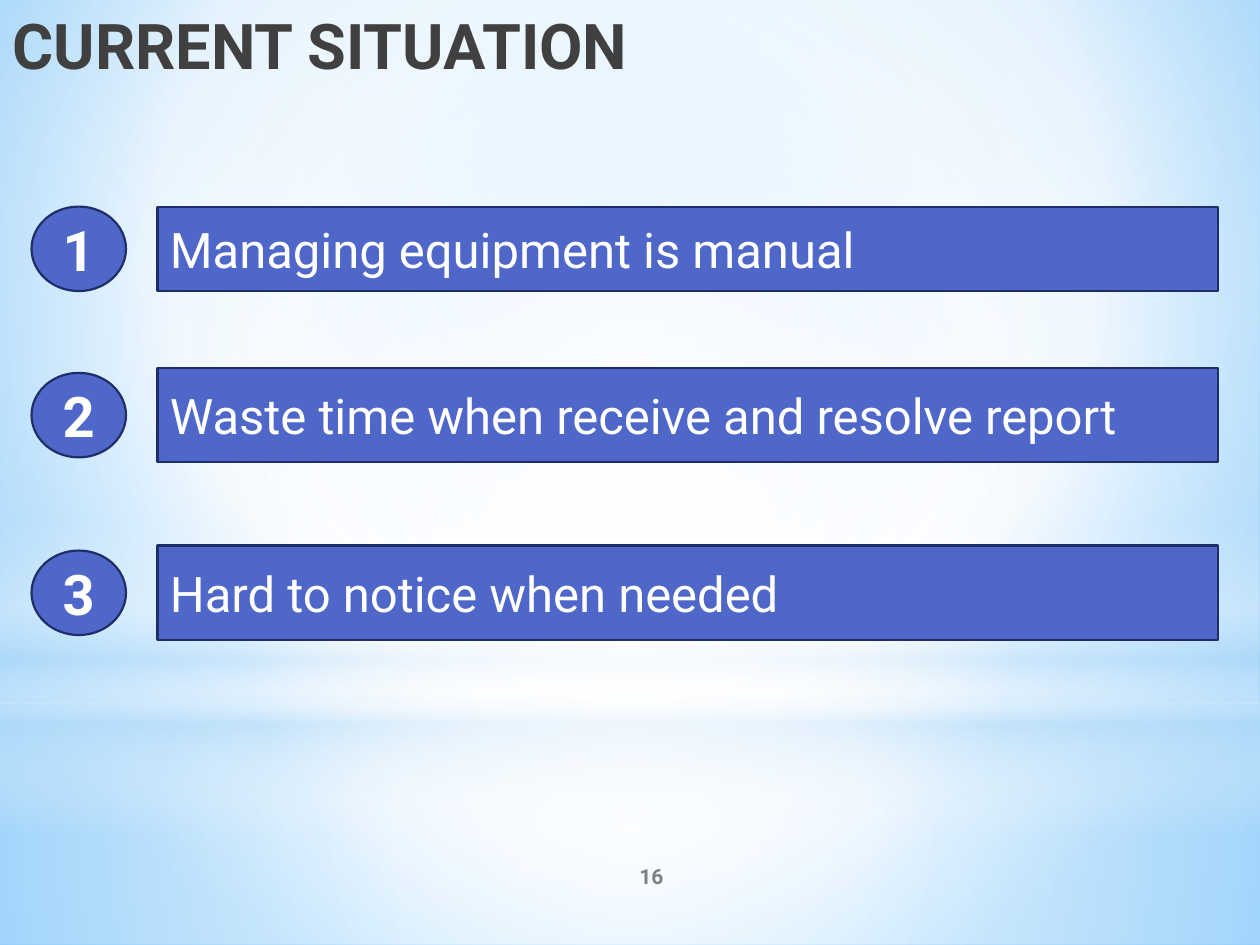
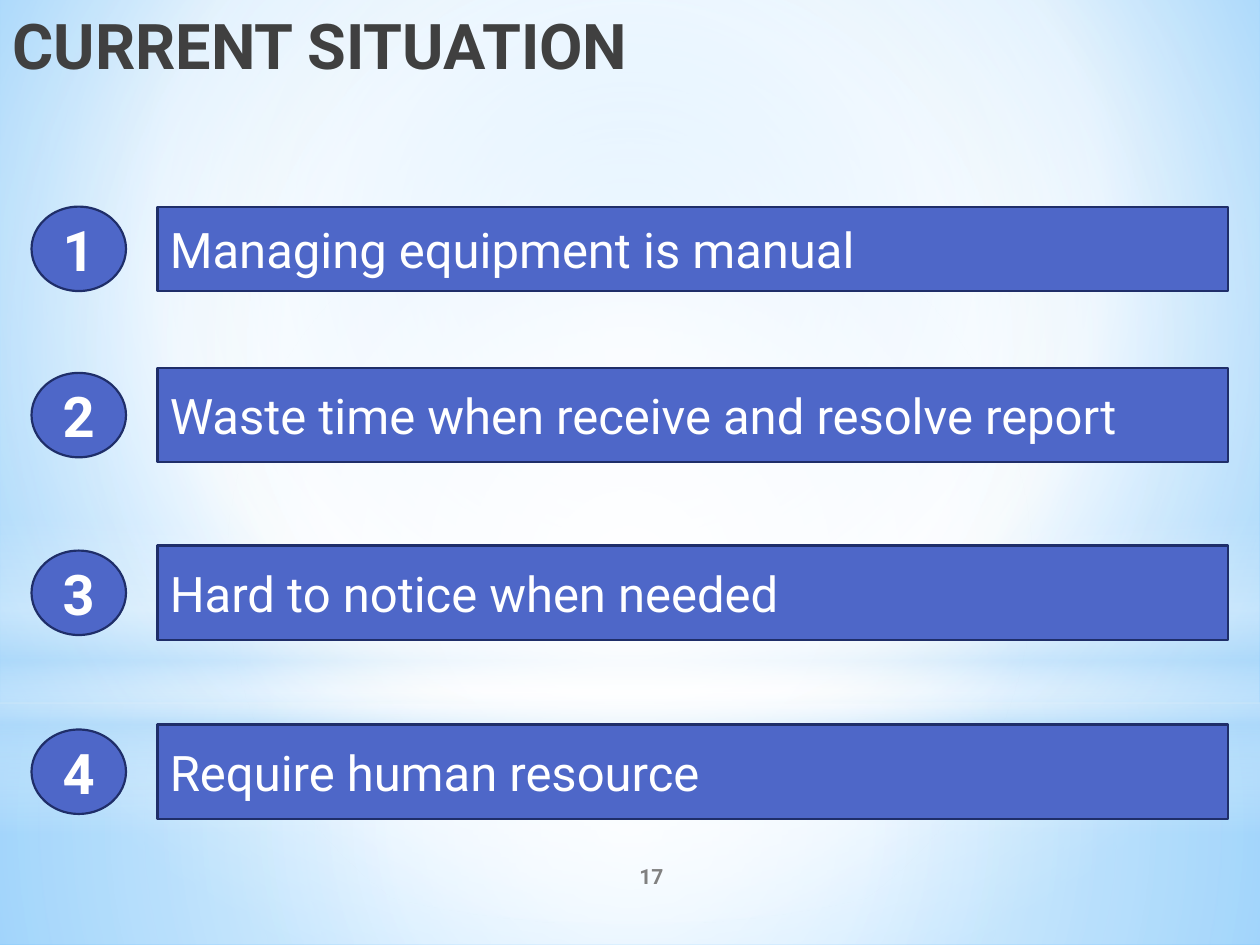
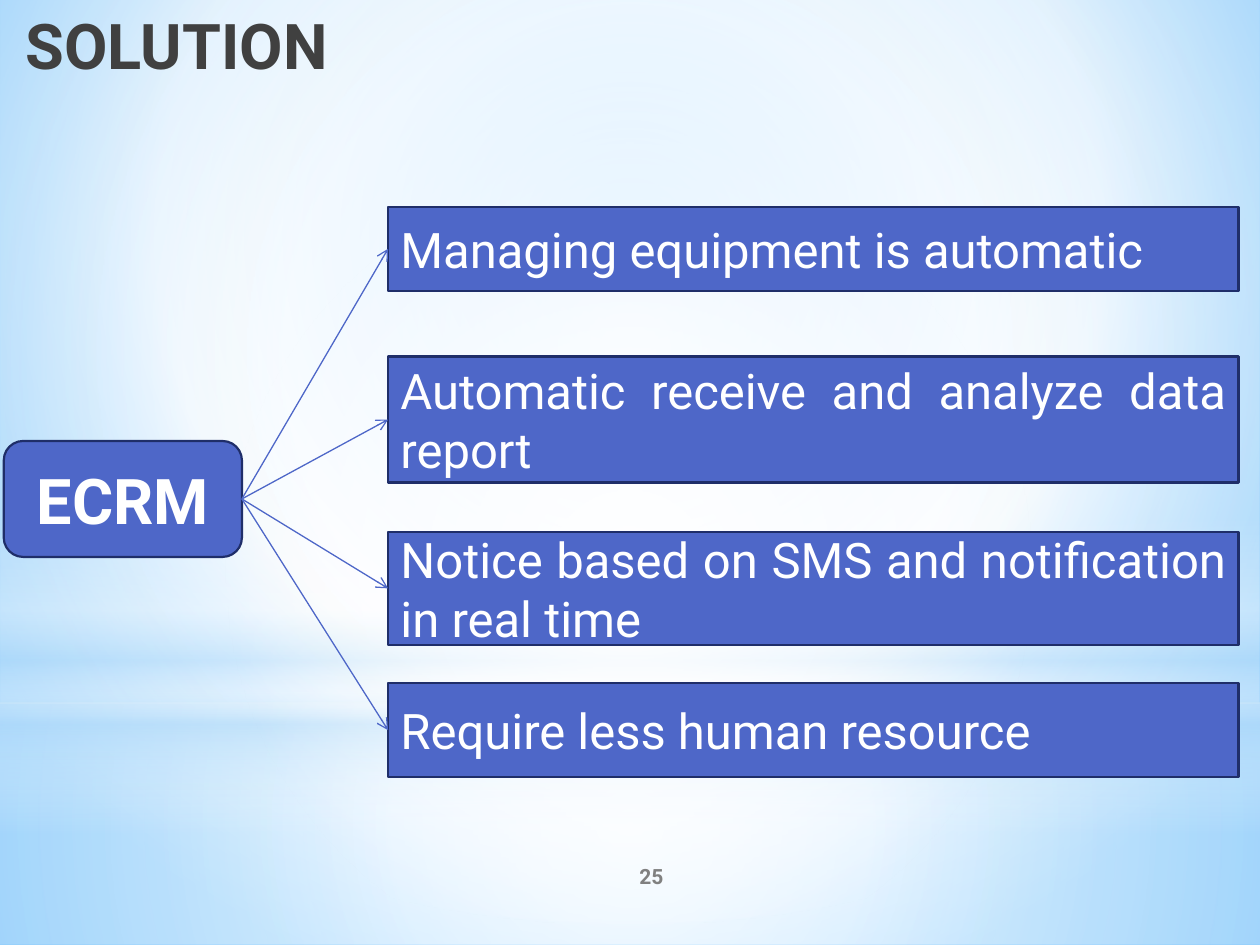
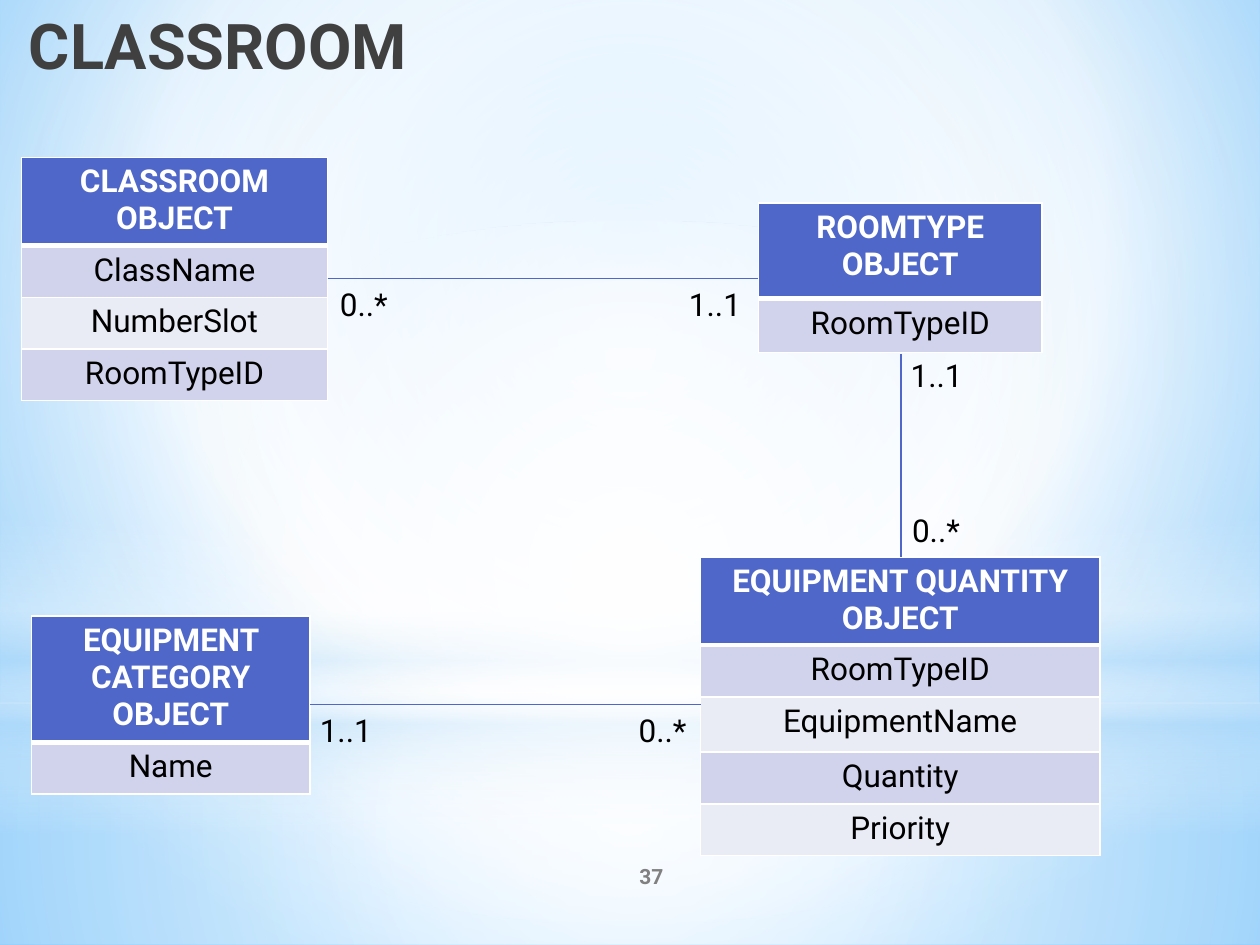
from pptx import Presentation
from pptx.dml.color import RGBColor
from pptx.enum.shapes import MSO_CONNECTOR, MSO_SHAPE
from pptx.enum.text import MSO_ANCHOR, MSO_AUTO_SIZE, PP_ALIGN
from pptx.oxml import parse_xml
from pptx.oxml.ns import nsdecls, qn
from pptx.util import Inches, Pt

RECT, OVAL, ROUND = MSO_SHAPE.RECTANGLE, MSO_SHAPE.OVAL, MSO_SHAPE.ROUNDED_RECTANGLE
LINE = MSO_CONNECTOR.STRAIGHT
LEFT, CENTER, RIGHT, JUSTIFY = PP_ALIGN.LEFT, PP_ALIGN.CENTER, PP_ALIGN.RIGHT, PP_ALIGN.JUSTIFY
TOP, MIDDLE = MSO_ANCHOR.TOP, MSO_ANCHOR.MIDDLE
FIT = MSO_AUTO_SIZE.SHAPE_TO_FIT_TEXT

# Shared look
FONT = "Roboto"
BLUE, NAVY, WHITE, BLACK = "4E67C8", "1F2E69", "FFFFFF", "000000"
DARK, GRAY, SKY = "404040", "808080", "B4DCFA"
STRIPES = ["D0D3EB", "E9EBF5"]
MID = (50, 50, 50, 50)

# Backdrop: shape, box, stops (position, colour, opacity), focus or None for vertical
BACKDROP = [
    (RECT, (0, 5.58, 10, 1.92), [(0, WHITE, 91), (37, WHITE, 76), (100, SKY, 79)], MID),
    (RECT, (0, 0, 10, 5.58), [(0, WHITE, 89), (48, WHITE, 62), (100, SKY, 79)], MID),
    (RECT, (0, 4.12, 10, 2.5), [(0, WHITE, 0), (29, WHITE, 30), (45, SKY, 40),
                                (55, WHITE, 26), (65, SKY, 60), (100, WHITE, 0)], None),
    (OVAL, (0, 1.75, 10, 5.58), [(0, WHITE, 100), (56, WHITE, 0)], MID),
]

# Bars of the situation slides: text, top, height
ISSUES = [
    ("Managing equipment is manual", 1.64, 0.67),
    ("Waste time when receive and resolve report", 2.92, 0.75),
    ("Hard to notice when needed", 4.33, 0.75),
    ("Require human resource", 5.75, 0.75),
]
GAINS = [
    ("Managing equipment is automatic", 1.64, 0.67),
    ("Automatic receive and analyze data report", 2.83, 1),
    ("Notice based on SMS and notification in real time", 4.22, 0.9),
    ("Require less human resource", 5.42, 0.75),
]


def rgb(code):
    return RGBColor.from_string(code)


def inch(*sizes):
    return [Inches(size) for size in sizes]


def shade(props, stops, focus):
    """Replace the empty fill of a property element by a gradient."""
    marks = "".join(
        f'<a:gs pos="{pos * 1000}"><a:srgbClr val="{code}">'
        f'<a:alpha val="{alpha * 1000}"/></a:srgbClr></a:gs>'
        for pos, code, alpha in stops)
    if focus:
        sides = " ".join(f'{side}="{part * 1000}"' for side, part in zip("ltrb", focus))
        way = f'<a:path path="circle"><a:fillToRect {sides}/></a:path>'
    else:
        way = '<a:lin ang="5400000" scaled="0"/>'
    grad = parse_xml(f'<a:gradFill {nsdecls("a")} rotWithShape="1">'
                     f'<a:gsLst>{marks}</a:gsLst>{way}</a:gradFill>')
    props.replace(props.find(qn("a:noFill")), grad)


def backdrop(master, slide):
    """Give the master its background and its four light layers."""
    master.background.fill.background()
    shade(next(master.element.iter(qn("p:bgPr"))),
          [(0, "9ED5FF", 100), (60, WHITE, 100), (100, "5BB9FF", 100)], (20, 10, 20, 60))
    for kind, box, stops, focus in BACKDROP:
        layer = slide.shapes.add_shape(kind, *inch(*box))
        layer.shadow.inherit = False
        layer.fill.background()
        layer.line.fill.background()
        shade(layer.element.spPr, stops, focus)
        master.shapes._spTree.append(layer.element)


def write(frame, text, size, color, align=LEFT, bold=False, anchor=TOP):
    frame.word_wrap = True
    frame.vertical_anchor = anchor
    para = frame.paragraphs[0]
    para.text = text
    para.alignment = align
    font = para.font
    font.name, font.size, font.bold = FONT, Pt(size), bold
    font.color.rgb = rgb(color)


def label(slide, box, text, *style, **more):
    frame = slide.shapes.add_textbox(*inch(*box)).text_frame
    write(frame, text, *style, **more)
    return frame


def block(slide, kind, box, text, size, align=CENTER, bold=False):
    shape = slide.shapes.add_shape(kind, *inch(*box))
    shape.shadow.inherit = False
    shape.fill.solid()
    shape.fill.fore_color.rgb = rgb(BLUE)
    shape.line.color.rgb = rgb(NAVY)
    shape.line.width = Pt(1.25)
    write(shape.text_frame, text, size, WHITE, align, bold, MIDDLE)


def link(slide, start, end, arrow=False):
    line = slide.shapes.add_connector(LINE, *inch(*start, *end))
    line.line.color.rgb = rgb(BLUE)
    line.line.width = Pt(0.75)
    props = line.element.spPr
    if arrow:
        props.find(qn("a:ln")).append(parse_xml(f'<a:tailEnd {nsdecls("a")} type="arrow"/>'))
    props.append(parse_xml(f'<a:effectLst {nsdecls("a")}/>'))


def edge(cell, top, bottom):
    """White borders; top and bottom widths in points."""
    props = cell._tc.get_or_add_tcPr()
    for spot, (side, width) in enumerate(zip("LRTB", (1, 1, top, bottom))):
        props.insert(spot, parse_xml(
            f'<a:ln{side} {nsdecls("a")} w="{Pt(width)}"><a:solidFill>'
            f'<a:srgbClr val="{WHITE}"/></a:solidFill></a:ln{side}>'))


def entity(slide, left, top, width, rows):
    """Class table from (text, height) rows, the first one being its head."""
    total = sum(height for _, height in rows)
    grid = slide.shapes.add_table(len(rows), 1, *inch(left, top, width, total)).table
    for i, (text, height) in enumerate(rows):
        grid.rows[i].height = Inches(height)
        cell = grid.cell(i, 0)
        head = i == 0
        cell.fill.solid()
        cell.fill.fore_color.rgb = rgb(BLUE if head else STRIPES[(i - 1) % 2])
        write(cell.text_frame, text, 18, WHITE if head else BLACK, CENTER, head)
        edge(cell, 3 if i == 1 else 1, 3 if head else 1)


def count(slide, left, top, text):
    frame = label(slide, (left, top, 0.63, 0.4), text, 18, BLACK)
    frame.word_wrap = False
    frame.auto_size = FIT


def page(deck, title, left, width, number):
    slide = deck.slides.add_slide(deck.slide_layouts[6])
    label(slide, (left, 0, width, 0.88), title, 36, DARK, RIGHT, True)
    label(slide, (4.17, 6.75, 2, 0.4), str(number), 12, GRAY, CENTER, True, MIDDLE)
    return slide


def issues(deck, number, items, width):
    slide = page(deck, "CURRENT SITUATION", 0, 5.08, number)
    disc = 0.67
    for i, (text, top, height) in enumerate(items, 1):
        block(slide, RECT, (1.25, top, width, height), text, 28, LEFT)
        block(slide, OVAL, (0.25, top + (height - disc) / 2, 0.75, disc), str(i), 32, bold=True)
    return slide


def solution(deck):
    slide = page(deck, "SOLUTION", 0.03, 2.67, 25)
    block(slide, ROUND, (0.03, 3.5, 1.89, 0.92), "ECRM", 36, bold=True)
    for text, top, height in GAINS:
        block(slide, RECT, (3.08, top, 6.75, height), text, 28, JUSTIFY)
        link(slide, (1.92, 3.96), (3.08, top + height / 2), True)


def classes(deck):
    slide = page(deck, "CLASSROOM", 0, 3.33, 37)
    # Classes
    entity(slide, 0.17, 1.25, 2.43, [("CLASSROOM OBJECT", 0.69), ("ClassName", 0.41),
                                     ("NumberSlot", 0.41), ("RoomTypeID", 0.41)])
    entity(slide, 6.02, 1.61, 2.25, [("ROOMTYPE OBJECT", 0.76), ("RoomTypeID", 0.43)])
    entity(slide, 5.56, 4.42, 3.17, [("EQUIPMENT QUANTITY OBJECT", 0.69), ("RoomTypeID", 0.41),
                                     ("EquipmentName", 0.44), ("Quantity", 0.41),
                                     ("Priority", 0.41)])
    entity(slide, 0.25, 4.89, 2.21, [("EQUIPMENT CATEGORY OBJECT", 1), ("Name", 0.41)])
    # Relations
    link(slide, (2.6, 2.21), (6.02, 2.21))
    link(slide, (7.15, 2.81), (7.15, 4.42))
    link(slide, (5.56, 5.59), (2.46, 5.59))
    for left, top, text in [(2.6, 2.21, "0..*"), (5.37, 2.21, "1..1"), (7.14, 4.01, "0..*"),
                            (7.13, 2.78, "1..1"), (2.44, 5.59, "1..1"), (4.97, 5.59, "0..*")]:
        count(slide, left, top, text)


def main():
    deck = Presentation()
    deck.slide_width, deck.slide_height = inch(10, 7.5)
    first = issues(deck, 16, ISSUES[:3], 8.42)
    backdrop(deck.slide_master, first)
    issues(deck, 17, ISSUES, 8.5)
    solution(deck)
    classes(deck)
    deck.save("out.pptx")


if __name__ == "__main__":
    main()
